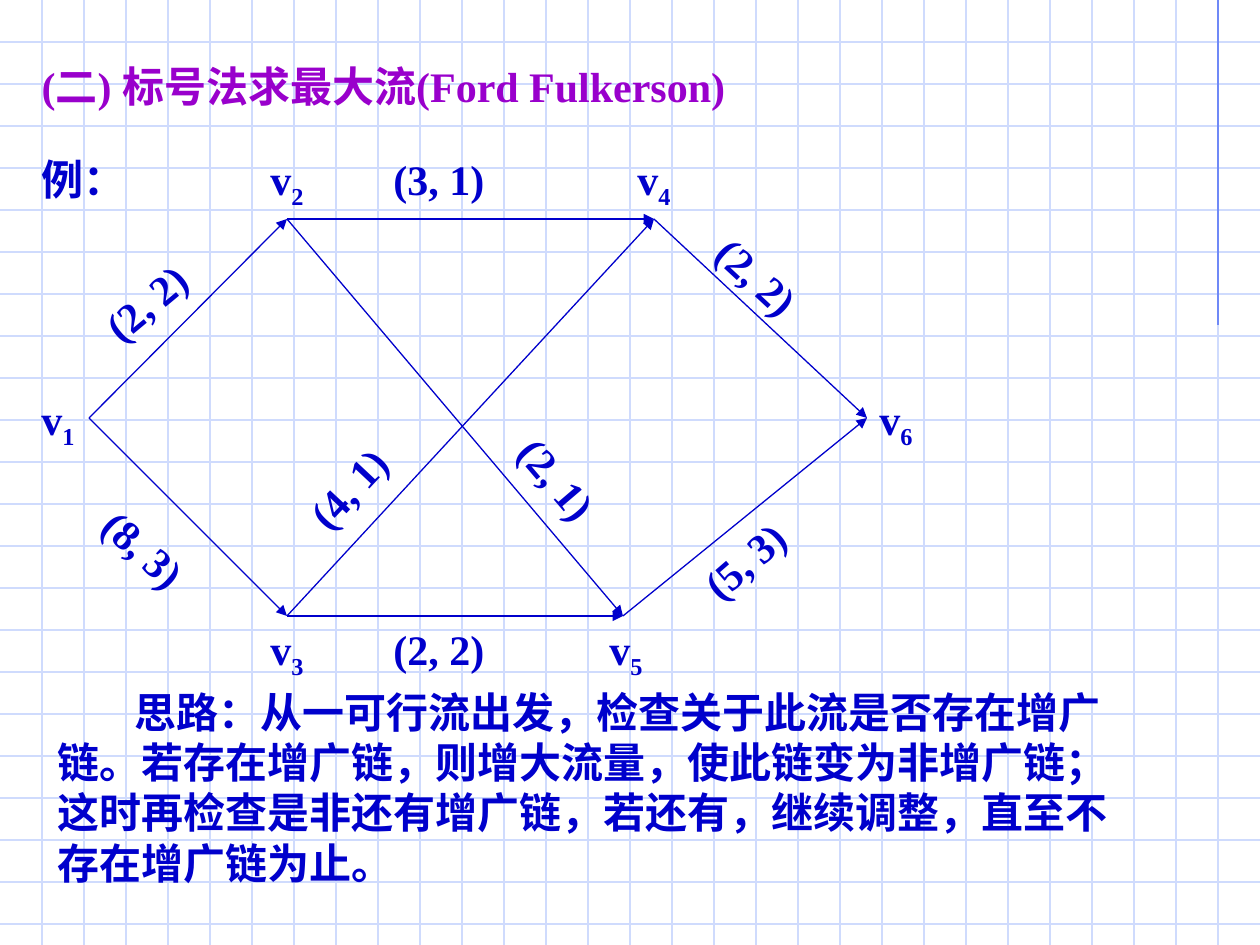
from lxml import etree
from pptx import Presentation, util as u
from pptx.dml.color import RGBColor
from pptx.enum import shapes, text as t
from pptx.oxml import ns

SCALE = u.Inches(1) / 126  # EMU in one px
WIDTH, HEIGHT, CELL = 1260, 945, 42
GRID = RGBColor(0xCF, 0xDB, 0xFD)
MARGIN = RGBColor(0x6F, 0x89, 0xF7)
BLUE = RGBColor(0x00, 0x00, 0xCC)
PURPLE = RGBColor(0x99, 0x00, 0xCC)

deck = Presentation()
deck.slide_width, deck.slide_height = round(WIDTH * SCALE), round(HEIGHT * SCALE)
page = deck.slides.add_slide(deck.slide_layouts[5])


def add_line(start, end, color, arrow=False):
    ends = [round(v * SCALE) for v in (*start, *end)]
    line = page.shapes.add_connector(shapes.MSO_CONNECTOR.STRAIGHT, *ends)
    line.line.color.rgb = color
    line.line.width = u.Pt(0.75)
    if arrow:
        head = etree.SubElement(line.line._get_or_add_ln(), ns.qn("a:tailEnd"))
        head.set("type", "triangle")
    etree.SubElement(line._element.spPr, ns.qn("a:effectLst"))


def write(text, frame, box=None, sub="", color=BLUE, wrap=True, rotation=0, indent=0):
    """Put text, with an optional subscript, in the given or a new box."""
    left, top, width, height = [round(v * SCALE) for v in frame]
    box = box or page.shapes.add_textbox(left, top, width, height)
    box.left, box.top, box.width, box.height = left, top, width, height
    box.rotation = rotation
    body = box.text_frame
    body.word_wrap = wrap
    body.auto_size = t.MSO_AUTO_SIZE.NONE
    body.vertical_anchor = t.MSO_ANCHOR.TOP
    para = body.paragraphs[0]
    para.alignment = t.PP_ALIGN.LEFT
    if indent:
        para._p.get_or_add_pPr().set("indent", str(round(indent * SCALE)))
    for part in filter(None, (text, sub)):
        span = para.add_run()
        span.text = part
        span.font.name = "Times New Roman"
        span.font.size = u.Pt(24)
        span.font.bold = True
        span.font.color.rgb = color
    if sub:
        span._r.get_or_add_rPr().set("baseline", "-25000")


# Squared paper with a margin rule
for y in range(CELL, HEIGHT, CELL):
    add_line((0, y), (WIDTH, y), GRID)
for x in range(CELL, WIDTH, CELL):
    add_line((x, 0), (x, HEIGHT), GRID)
add_line((WIDTH - CELL, 0), (WIDTH - CELL, 325), MARGIN)

# Title, brought in front of the grid
title = page.shapes.title
title._element.getparent().append(title._element)
write("(二) 标号法求最大流(Ford Fulkerson)", (29, 54, 751, 63), box=title, color=PURPLE)
write("例：", (29, 147, 144, 63))

# Network: vertex number -> point, top left of its label
vertices = {
    1: ((89, 418), (29, 387)),
    2: ((287, 219), (258, 147)),
    3: ((287, 616), (258, 617)),
    4: ((654, 219), (625, 147)),
    5: ((623, 616), (597, 617)),
    6: ((867, 418), (867, 387)),
}
for number, (point, corner) in vertices.items():
    write("v", (*corner, 58, 71), sub=str(number), wrap=False)

# Edges: from, to, (capacity, flow), label frame, label rotation
edges = [
    (1, 2, "(2, 2)", (86, 266, 130, 63), 320.2),
    (1, 3, "(8, 3)", (84, 522, 130, 63), 42.5),
    (2, 4, "(3, 1)", (381, 147, 140, 63), 0),
    (3, 5, "(2, 2)", (381, 617, 140, 63), 0),
    (3, 4, "(4, 1)", (287, 450, 134, 63), 313.2),
    (2, 5, "(2, 1)", (496, 455, 136, 63), 49.6),
    (4, 6, "(2, 2)", (697, 251, 134, 63), 42.8),
    (5, 6, "(5, 3)", (684, 523, 134, 63), 319),
]
for start, end, label, frame, angle in edges:
    add_line(vertices[start][0], vertices[end][0], BLUE, arrow=True)
    write(label, frame, rotation=angle)

write(
    "思路：从一可行流出发，检查关于此流是否存在增广链。若存在增广链，则增大流量，"
    "使此链变为非增广链；这时再检查是非还有增广链，若还有，继续调整，直至不存在增广链为止。",
    (45, 680, 1100, 214),
    indent=77,
)

deck.save("out.pptx")
